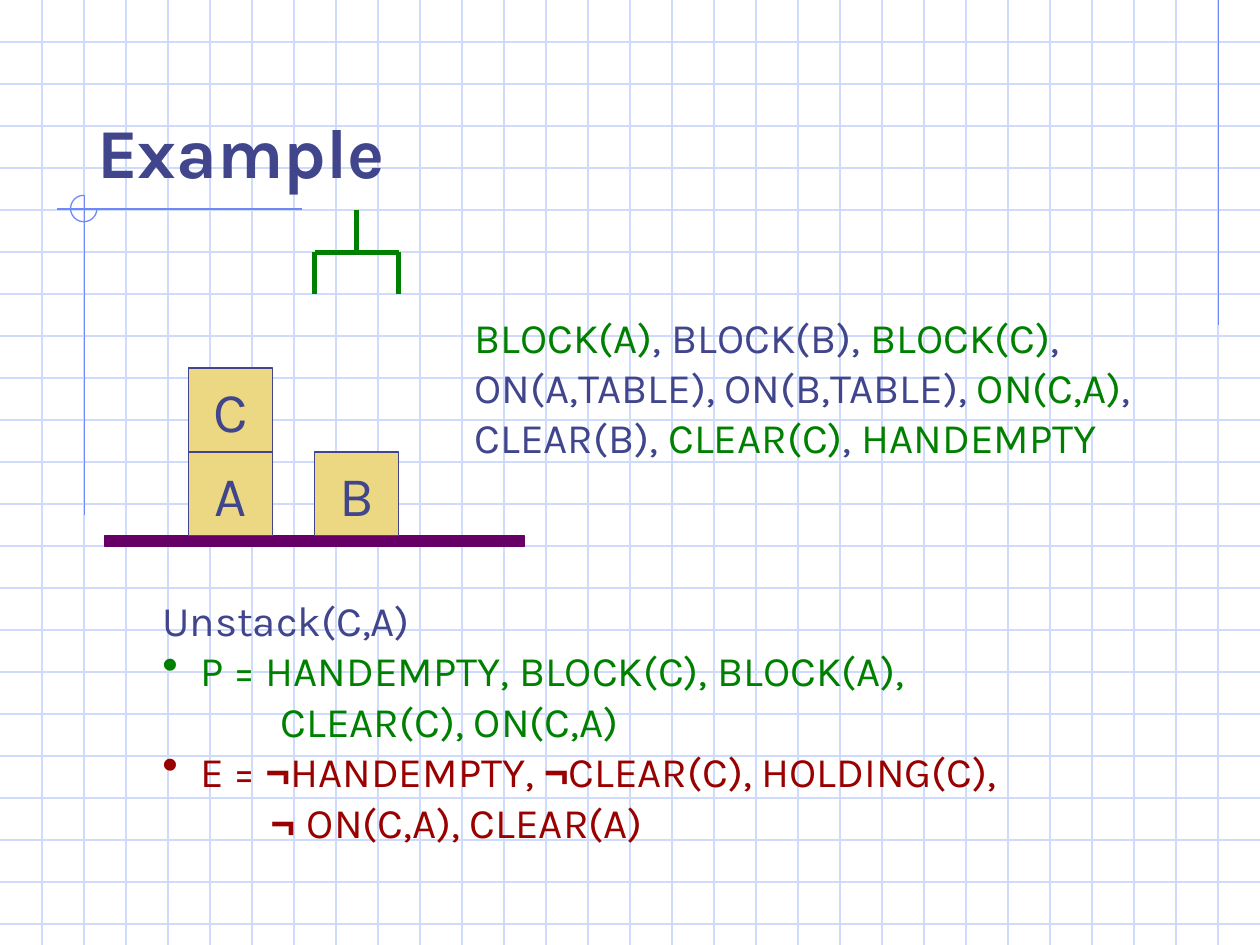
from lxml import etree
from pptx import Presentation
from pptx.dml.color import RGBColor
from pptx.enum.shapes import MSO_CONNECTOR, MSO_SHAPE
from pptx.enum.text import MSO_ANCHOR, MSO_AUTO_SIZE, PP_ALIGN
from pptx.oxml.ns import qn
from pptx.util import Inches, Pt

STRAIGHT = MSO_CONNECTOR.STRAIGHT
RECT, ARC = MSO_SHAPE.RECTANGLE, MSO_SHAPE.ARC
BOTTOM, MIDDLE = MSO_ANCHOR.BOTTOM, MSO_ANCHOR.MIDDLE
LEFT, CENTER = PP_ALIGN.LEFT, PP_ALIGN.CENTER
FIXED = MSO_AUTO_SIZE.NONE
WIDE, HIGH = 10, 7.5
STEP = 1 / 3
INK, GREEN, RED = "40458C", "008000", "990000"
PALE, BLUE, GOLD, PLUM = "CFDBFD", "6F89F7", "ECD882", "660066"


def paint(item, color):
    """Give a fill, line or font colour object its hex colour."""
    item.rgb = RGBColor.from_string(color)


def box(left, top, wide, high):
    """Turn a box in inches into lengths."""
    return [Inches(v) for v in (left, top, wide, high)]


def rule(slide, start, end, color, width=0.75):
    """Draw a straight line between two points."""
    line = slide.shapes.add_connector(
        STRAIGHT, *[Inches(v) for v in (*start, *end)])
    paint(line.line.color, color)
    line.line.width = Pt(width)
    etree.SubElement(line._element.spPr, qn("a:effectLst"))


def shape(slide, kind, area, fill, edge):
    """Add a flat preset shape."""
    item = slide.shapes.add_shape(kind, *box(*area))
    item.shadow.inherit = False
    if fill:
        item.fill.solid()
        paint(item.fill.fore_color, fill)
    else:
        item.fill.background()
    paint(item.line.color, edge)
    item.line.width = Pt(0.75)
    return item


def write(para, text, color=INK, size=24, bold=False, font="Karla"):
    """Add one run to a paragraph."""
    run = para.add_run()
    run.text = text
    run.font.name = font
    run.font.size = Pt(size)
    run.font.bold = bold
    paint(run.font.color, color)


def indent(para, left, color=None):
    """Set the left margin, with a hanging bullet if a colour is given."""
    props = para._p.get_or_add_pPr()
    props.set("marL", str(Inches(left)))
    if color:
        props.set("indent", str(-Inches(left)))
        tint = etree.SubElement(props, qn("a:buClr"))
        etree.SubElement(tint, qn("a:srgbClr"), val=color)
        etree.SubElement(props, qn("a:buSzPct"), val="110000")
        etree.SubElement(props, qn("a:buChar"), char="•")


def block_text(slide, area, lines):
    """Add a text box with one paragraph per list of runs."""
    frame = slide.shapes.add_textbox(*box(*area)).text_frame
    frame.word_wrap = True
    for i, runs in enumerate(lines):
        para = frame.add_paragraph() if i else frame.paragraphs[0]
        for text, color, *face in runs:
            if face:
                write(para, text, color, bold=True, font=face[0])
            else:
                write(para, text, color)
    return frame


def backdrop(slide, wide, high):
    """Draw the squared paper and its blue accents."""
    for i in range(1, int(high / STEP) + 1):
        rule(slide, (0, i * STEP), (wide, i * STEP), PALE)
    for i in range(1, round(wide / STEP)):
        rule(slide, (i * STEP, 0), (i * STEP, high), PALE)
    rule(slide, (9.67, 0), (9.67, 2.58), BLUE)
    rule(slide, (2.4, 1.66), (0.45, 1.66), BLUE)
    rule(slide, (0.67, 1.55), (0.67, 4.09), BLUE)
    arc = shape(slide, ARC, (0.56, 1.55, 0.21, 0.21), None, BLUE)
    arc.adjustments[0] = 0
    arc.adjustments[1] = 162


def heading(slide, area, text):
    """Place the title above the backdrop."""
    title = slide.shapes.title
    title.left, title.top, title.width, title.height = box(*area)
    frame = title.text_frame
    frame.auto_size = FIXED
    frame.vertical_anchor = BOTTOM
    para = frame.paragraphs[0]
    para.alignment = LEFT
    write(para, text, size=40, bold=True)
    slide.shapes._spTree.append(title._element)


def scene(slide, left, top):
    """Draw the table, the blocks and the hand."""
    side = 2 * STEP
    floor = top + 31 / 12
    shape(slide, RECT, (left, floor, 10 * STEP, 0.08), PLUM, PLUM)
    for name, col, row in (("A", 2, 1), ("B", 5, 1), ("C", 2, 2)):
        area = left + col * STEP, floor - row * side, side, side
        frame = shape(slide, RECT, area, GOLD, INK).text_frame
        frame.word_wrap = False
        frame.vertical_anchor = MIDDLE
        para = frame.paragraphs[0]
        para.alignment = CENTER
        write(para, name, size=32)
    near, mid, far = [left + n * STEP for n in (5, 6, 7)]
    palm, tip = top + STEP, top + side
    for start, end in (((near, palm), (far, palm)),
                       ((near, palm), (near, tip)),
                       ((mid, top), (mid, palm)),
                       ((far, palm), (far, tip))):
        rule(slide, start, end, GREEN, 3)


def action(slide, area):
    """Write the action with its preconditions and effects."""
    neg = ("¬", RED, "Arial")
    frame = block_text(slide, area, [
        [("Unstack(C,A)", INK)],
        [("P = HANDEMPTY, BLOCK(C), BLOCK(A),", GREEN)],
        [("CLEAR(C), ON(C,A)", GREEN)],
        [("E = ", RED), neg, ("HANDEMPTY, ", RED), neg,
         ("CLEAR(C), HOLDING(C),", RED)],
        [("¬ ", RED, "Arial"), ("ON(C,A), CLEAR(A)", RED)],
    ])
    paras = frame.paragraphs
    indent(paras[1], 0.3, GREEN)
    indent(paras[2], 0.94)
    indent(paras[3], 0.3, RED)
    indent(paras[4], 0.86)


def state(slide, area):
    """Write the state, with the facts in use in green."""
    block_text(slide, area, [
        [("BLOCK(A)", GREEN), (", BLOCK(B), ", INK),
         ("BLOCK(C)", GREEN), (",", INK)],
        [("ON(A,TABLE), ON(B,TABLE), ", INK), ("ON(C,A)", GREEN),
         (",", INK)],
        [("CLEAR(B), ", INK), ("CLEAR(C)", GREEN), (", ", INK),
         ("HANDEMPTY", GREEN)],
    ])


def main():
    """Build and save the slide."""
    deck = Presentation()
    deck.slide_width, deck.slide_height = Inches(WIDE), Inches(HIGH)
    slide = deck.slides.add_slide(deck.slide_layouts[5])
    backdrop(slide, WIDE, HIGH)
    heading(slide, (0.67, 0.33, 8.5, 1.25), "Example")
    scene(slide, 0.83, 1.67)
    action(slide, (1.19, 4.67, 7.21, 2.1))
    state(slide, (3.67, 2.42, 5.94, 1.3))
    deck.save("out.pptx")


if __name__ == "__main__":
    main()
